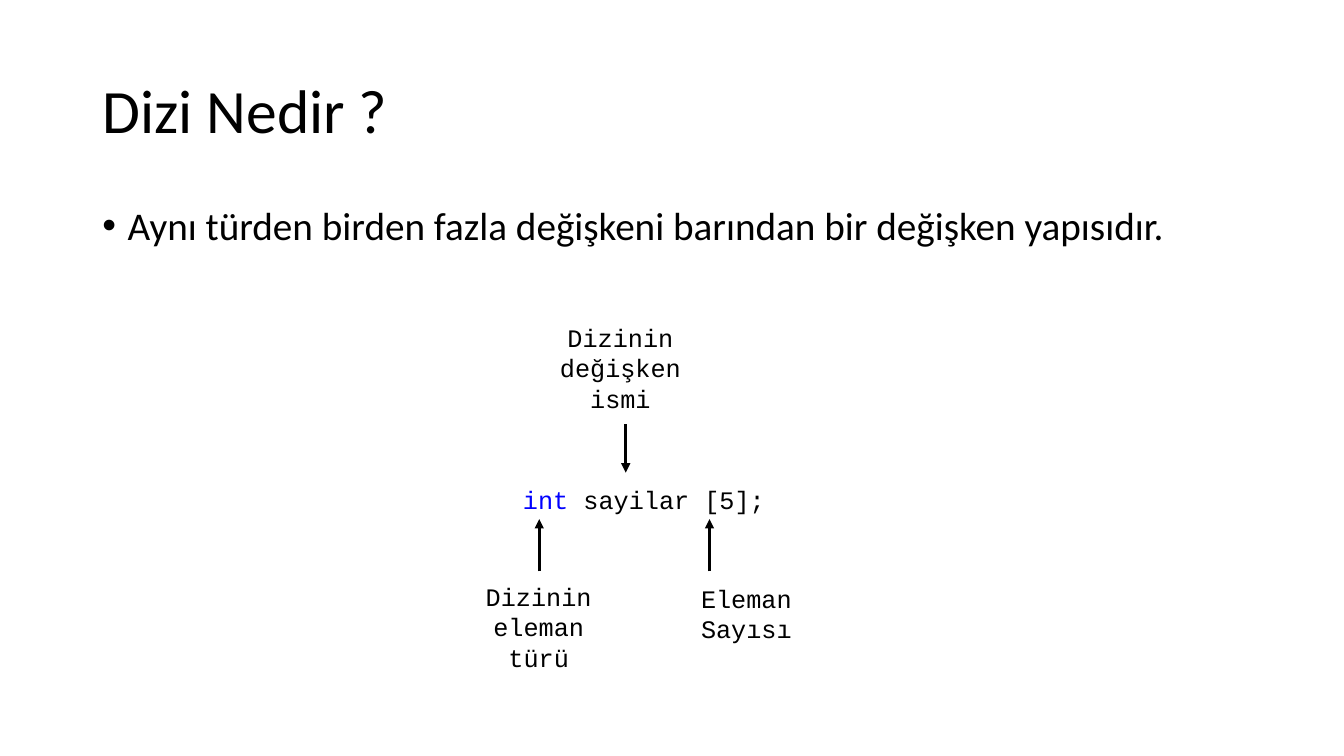
from lxml.etree import SubElement
from pptx import Presentation
from pptx.dml.color import RGBColor
from pptx.enum.shapes import MSO_CONNECTOR
from pptx.enum.text import MSO_ANCHOR, PP_ALIGN
from pptx.oxml.ns import qn
from pptx.util import Cm, Pt

BLACK = RGBColor(0, 0, 0)
BLUE = RGBColor(0, 0, 255)
WHITE = RGBColor(255, 255, 255)
SANS, MONO = "Calibri", "Courier New"

TITLE = "Dizi Nedir ?"
POINT = "Aynı türden birden fazla değişkeni barından bir değişken yapısıdır."
CODE = [("int ", BLUE), ("sayilar [5];", BLACK)]
# Label, its box (left, top, width, height), arrow (x, start y, end y), in cm
LABELS = [
    ("Dizinin eleman türü", (11.3, 14.53, 4.55, 2.54), (13.59, 14.4, 13.08)),
    ("Dizinin değişken ismi", (12.93, 8, 5.41, 2.54), (15.77, 10.69, 11.91)),
    ("Eleman Sayısı", (16.18, 14.58, 5.26, 1.78), (17.88, 14.4, 13.08)),
]


def style(para, font, size, color=None):
    para.font.name = font
    para.font.size = Pt(size)
    if color is not None:
        para.font.color.rgb = color


def add_box(slide, area):
    frame = slide.shapes.add_textbox(*map(Cm, area)).text_frame
    frame.word_wrap = True
    return frame.paragraphs[0]


def add_arrow(slide, x, start, end):
    line = slide.shapes.add_connector(
        MSO_CONNECTOR.STRAIGHT, Cm(x), Cm(start), Cm(x), Cm(end))
    line.line.color.rgb = BLACK
    line.line.width = Pt(2.25)
    SubElement(line.line._get_or_add_ln(), qn("a:tailEnd"), type="triangle")
    SubElement(line._element.spPr, qn("a:effectLst"))


def add_title(slide):
    title = slide.shapes.title
    title.left, title.top = Cm(2.33), Cm(1.02)
    title.width, title.height = Cm(29.21), Cm(3.68)
    title.text_frame.text = TITLE
    title.text_frame.vertical_anchor = MSO_ANCHOR.MIDDLE
    para = title.text_frame.paragraphs[0]
    para.alignment = PP_ALIGN.LEFT
    para.line_spacing = 0.9
    style(para, SANS, 44, BLACK)


def add_point(slide):
    para = add_box(slide, (2.33, 5.08, 29.21, 1.52))
    para.text = POINT
    para.line_spacing = 0.9
    props = para._p.get_or_add_pPr()
    props.set("marL", str(Cm(0.64)))
    props.set("indent", str(-Cm(0.64)))
    SubElement(props, qn("a:buFont"), typeface="Arial")
    SubElement(props, qn("a:buChar"), char="•")
    style(para, SANS, 28, BLACK)


def add_code(slide):
    para = add_box(slide, (12.93, 12.07, 7.16, 1.02))
    style(para, MONO, 18)
    for text, color in CODE:
        run = para.add_run()
        run.text = text
        run.font.color.rgb = color


def main():
    deck = Presentation()
    deck.slide_width, deck.slide_height = Cm(33.87), Cm(19.05)
    slide = deck.slides.add_slide(deck.slide_layouts[5])
    slide.background.fill.solid()
    slide.background.fill.fore_color.rgb = WHITE
    add_title(slide)
    add_point(slide)
    add_code(slide)
    for text, area, arrow in LABELS:
        add_arrow(slide, *arrow)
        para = add_box(slide, area)
        para.text = text
        para.alignment = PP_ALIGN.CENTER
        style(para, MONO, 18, BLACK)
    deck.save("out.pptx")


if __name__ == "__main__":
    main()
